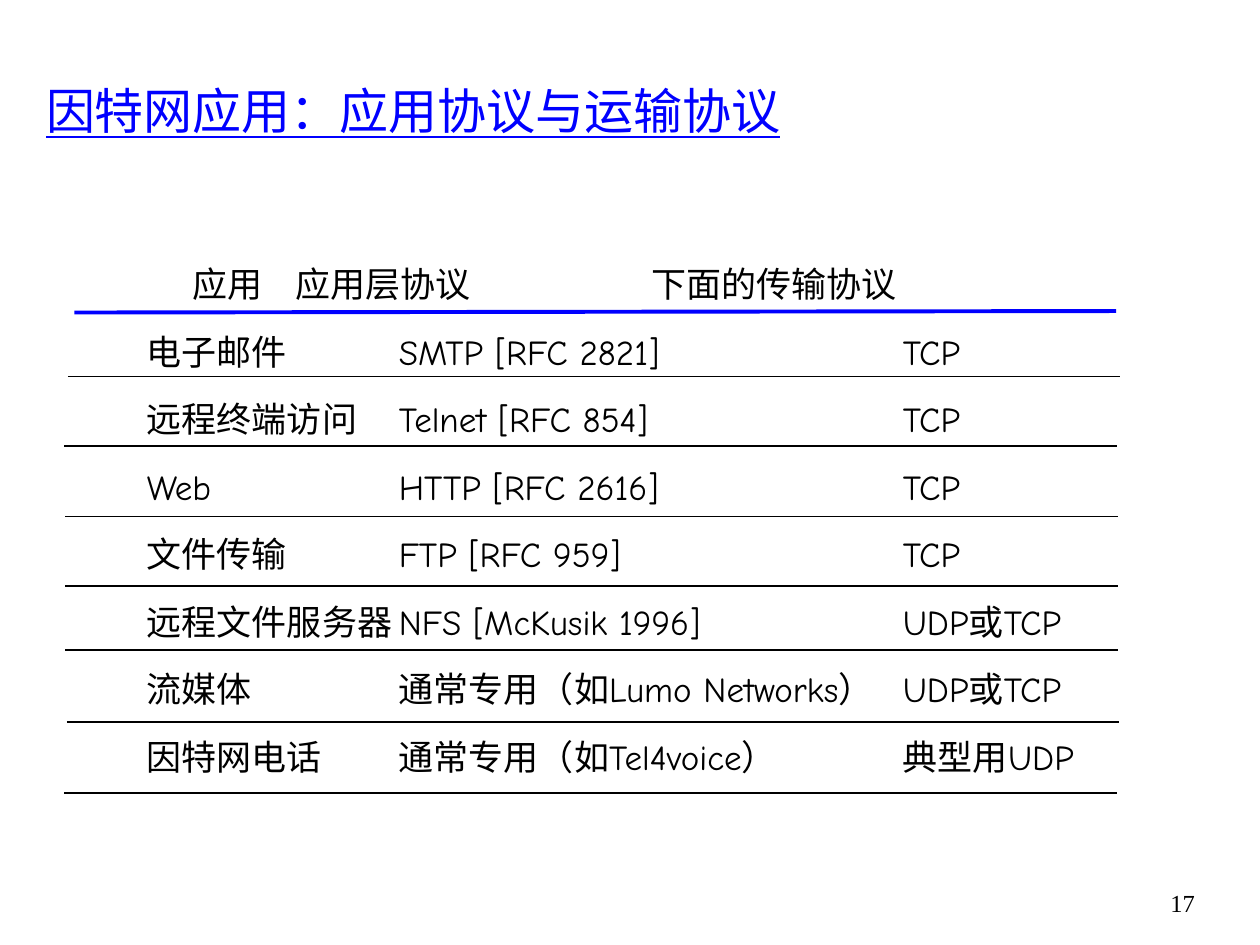
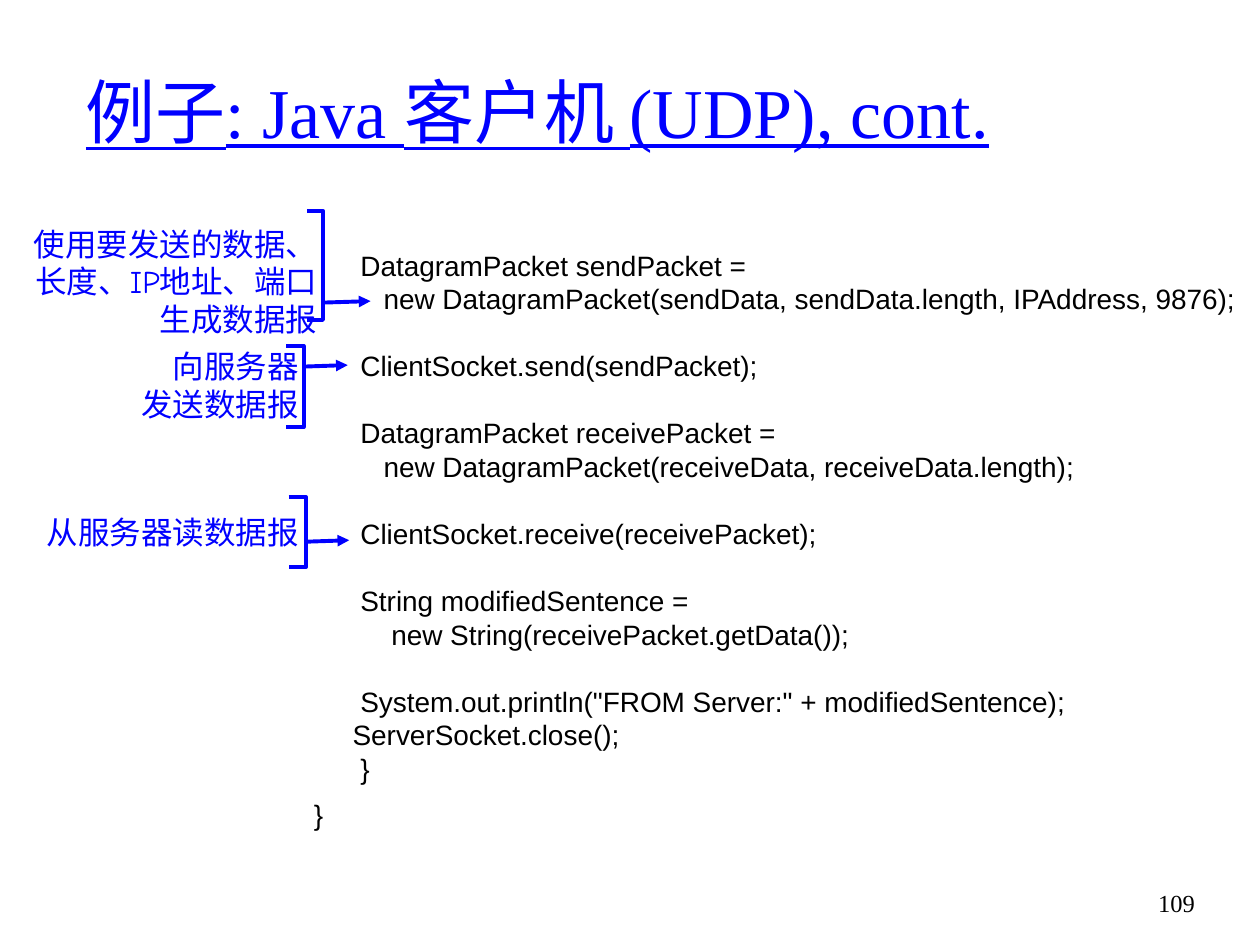
from dataclasses import dataclass

from lxml.etree import SubElement
from pptx import Presentation
from pptx.dml.color import RGBColor
from pptx.enum.shapes import MSO_CONNECTOR as Connector
from pptx.enum.text import MSO_ANCHOR as Anchor, PP_ALIGN as Align
from pptx.oxml.ns import qn
from pptx.slide import Slide
from pptx.text.text import TextFrame
from pptx.util import Cm, Pt

BLUE = RGBColor(0x00, 0x00, 0xFF)
BLACK = RGBColor(0x00, 0x00, 0x00)
SERIF = "Times New Roman"
HAND = "Comic Neue"
CODE = "Arial"
HEAVY = 2.25
THIN = 1
ARROW_RISE = 0.03
CODE_GAP = Pt(19.1)
LAST_BRACE_GAP = Pt(7.5)
RULE_WIDTH = 21.21


@dataclass(frozen=True)
class Box:
    left: float
    top: float
    width: float
    height: float


@dataclass(frozen=True)
class TextStyle:
    font: str
    size: float
    color: RGBColor
    underline: bool = False
    align: Align = Align.LEFT


@dataclass(frozen=True)
class Line:
    left: float
    top: float
    right: float
    bottom: float
    color: RGBColor
    weight: float
    arrow: bool = False


@dataclass(frozen=True)
class Note:
    text: str
    label: Box
    bracket: Box
    arrow_top: float
    arrow_end: float


PROTOCOL_STYLE = TextStyle(HAND, 20, BLACK)
CODE_STYLE = TextStyle(CODE, 16, BLACK)
NOTE_STYLE = TextStyle(HAND, 18, BLUE, align=Align.RIGHT)
PAGE_STYLE = TextStyle(SERIF, 14, BLACK, align=Align.RIGHT)
PAGE_BOX = Box(22.56, 17.78, 1.78, 1.27)
PROTOCOL_BOX = Box(2.71, 4.83, 21.01, 10.97)
CODE_BOX = Box(6.08, 4.88, 19.28, 12.12)

HEADER_TABS = (0.93, 3, 10.17)
BODY_TABS = (5.08, 15.24)

PROTOCOLS = [
    ("", "应用", "应用层协议", "下面的传输协议"),
    ("电子邮件", "SMTP [RFC 2821]", "TCP"),
    ("远程终端访问", "Telnet [RFC 854]", "TCP"),
    ("Web", "HTTP [RFC 2616]", "TCP"),
    ("文件传输", "FTP [RFC 959]", "TCP"),
    ("远程文件服务器", "NFS [McKusik 1996]", "UDP或TCP"),
    ("流媒体", "通常专用（如Lumo Networks）", "UDP或TCP"),
    ("因特网电话", "通常专用（如Tel4voice）", "典型用UDP"),
]

HEADER_RULE = Line(1.5, 6.3, 22.5, 6.27, BLUE, HEAVY)
ROW_RULES = [
    Line(left, top, left + RULE_WIDTH, top, BLACK, THIN)
    for left, top in [(1.37, 7.59), (1.3, 8.99), (1.32, 10.41), (1.32, 11.81),
                      (1.32, 13.11), (1.35, 14.55), (1.3, 15.98)]
]

CODE_BLOCKS = [
    """      DatagramPacket sendPacket =
         new DatagramPacket(sendData, sendData.length, IPAddress, 9876);""",
    "      ClientSocket.send(sendPacket);",
    """      DatagramPacket receivePacket =
         new DatagramPacket(receiveData, receiveData.length);""",
    "      ClientSocket.receive(receivePacket);",
    """      String modifiedSentence =
          new String(receivePacket.getData());""",
    """      System.out.println("FROM Server:" + modifiedSentence);
     ServerSocket.close();
      }
}""",
]

NOTES = [
    Note("使用要发送的数据、长度、IP地址、端口生成数据报",
         Box(0, 4.4, 6.65, 2.54), Box(6.19, 4.25, 0.32, 2.2), 6.1, 7.47),
    Note("向服务器\n发送数据报",
         Box(0.25, 6.87, 6.02, 1.78), Box(5.77, 6.97, 0.35, 1.64), 7.39, 7.01),
    Note("从服务器读数据报",
         Box(0.25, 10.21, 6.02, 1.02), Box(5.82, 10.02, 0.35, 1.41), 10.92, 7.04),
]


def add_text(slide: Slide, box: Box, text: str, style: TextStyle,
             anchor: Anchor = Anchor.MIDDLE) -> TextFrame:
    shape = slide.shapes.add_textbox(
        Cm(box.left), Cm(box.top), Cm(box.width), Cm(box.height))
    text_frame = shape.text_frame
    text_frame.word_wrap = True
    text_frame.vertical_anchor = anchor
    text_frame.text = text
    for paragraph in text_frame.paragraphs:
        paragraph.alignment = style.align
        for run in paragraph.runs:
            run.font.name = style.font
            run.font.size = Pt(style.size)
            run.font.color.rgb = style.color
            if style.underline:
                run.font.underline = True
    return text_frame


def add_line(slide: Slide, line: Line) -> None:
    connector = slide.shapes.add_connector(
        Connector.STRAIGHT, Cm(line.left), Cm(line.top), Cm(line.right), Cm(line.bottom))
    connector.line.color.rgb = line.color
    connector.line.width = Pt(line.weight)
    properties = connector._element.spPr
    if line.arrow:
        SubElement(properties.find(qn("a:ln")), qn("a:tailEnd"), type="triangle")
    SubElement(properties, qn("a:effectLst"))


def add_page(presentation: Presentation, title: str, title_left: float,
             title_size: float, number: int) -> Slide:
    slide = presentation.slides.add_slide(presentation.slide_layouts[6])
    title_style = TextStyle(SERIF, title_size, BLUE, underline=True)
    add_text(slide, Box(title_left, 0.63, 23.8, 3.18), title, title_style)
    add_text(slide, PAGE_BOX, str(number), PAGE_STYLE, Anchor.TOP)
    return slide


def add_protocols(slide: Slide) -> None:
    text = "\n".join("\t".join(row) for row in PROTOCOLS)
    text_frame = add_text(slide, PROTOCOL_BOX, text, PROTOCOL_STYLE)
    for index, paragraph in enumerate(text_frame.paragraphs):
        paragraph.line_spacing = 1.4
        if index:
            paragraph.space_before = Pt(5)
        tab_list = SubElement(paragraph._p.get_or_add_pPr(), qn("a:tabLst"))
        for position in BODY_TABS if index else HEADER_TABS:
            SubElement(tab_list, qn("a:tab"), pos=str(Cm(position)), algn="l")
    for rule in [HEADER_RULE, *ROW_RULES]:
        add_line(slide, rule)


def add_code(slide: Slide) -> None:
    text_frame = add_text(slide, CODE_BOX, "\n".join(CODE_BLOCKS), CODE_STYLE, Anchor.TOP)
    paragraphs = text_frame.paragraphs
    block_start = 0
    for block in CODE_BLOCKS[:-1]:
        block_start += len(block.splitlines())
        paragraphs[block_start].space_before = CODE_GAP
    paragraphs[-1].space_before = LAST_BRACE_GAP


def add_note(slide: Slide, note: Note) -> None:
    add_text(slide, note.label, note.text, NOTE_STYLE)

    bracket = note.bracket
    right_side = bracket.left + bracket.width
    left, top = Cm(bracket.left), Cm(bracket.top)
    right, bottom = Cm(right_side), Cm(bracket.top + bracket.height)
    builder = slide.shapes.build_freeform(left, top)
    builder.add_line_segments([(right, top), (right, bottom), (left, bottom)], close=False)
    shape = builder.convert_to_shape()
    shape.shadow.inherit = False
    shape.fill.background()
    shape.line.color.rgb = BLUE
    shape.line.width = Pt(HEAVY)

    add_line(slide, Line(right_side, note.arrow_top, note.arrow_end,
                         note.arrow_top - ARROW_RISE, BLUE, HEAVY, arrow=True))


def main() -> None:
    presentation = Presentation()
    presentation.slide_width = Cm(25.4)
    presentation.slide_height = Cm(19.05)

    protocols = add_page(presentation, "因特网应用：应用协议与运输协议", 0.68, 28, 17)
    add_protocols(protocols)

    client = add_page(presentation, "例子: Java 客户机 (UDP), cont.", 1.48, 40, 109)
    add_code(client)
    for note in NOTES:
        add_note(client, note)

    presentation.save("out.pptx")


if __name__ == "__main__":
    main()
